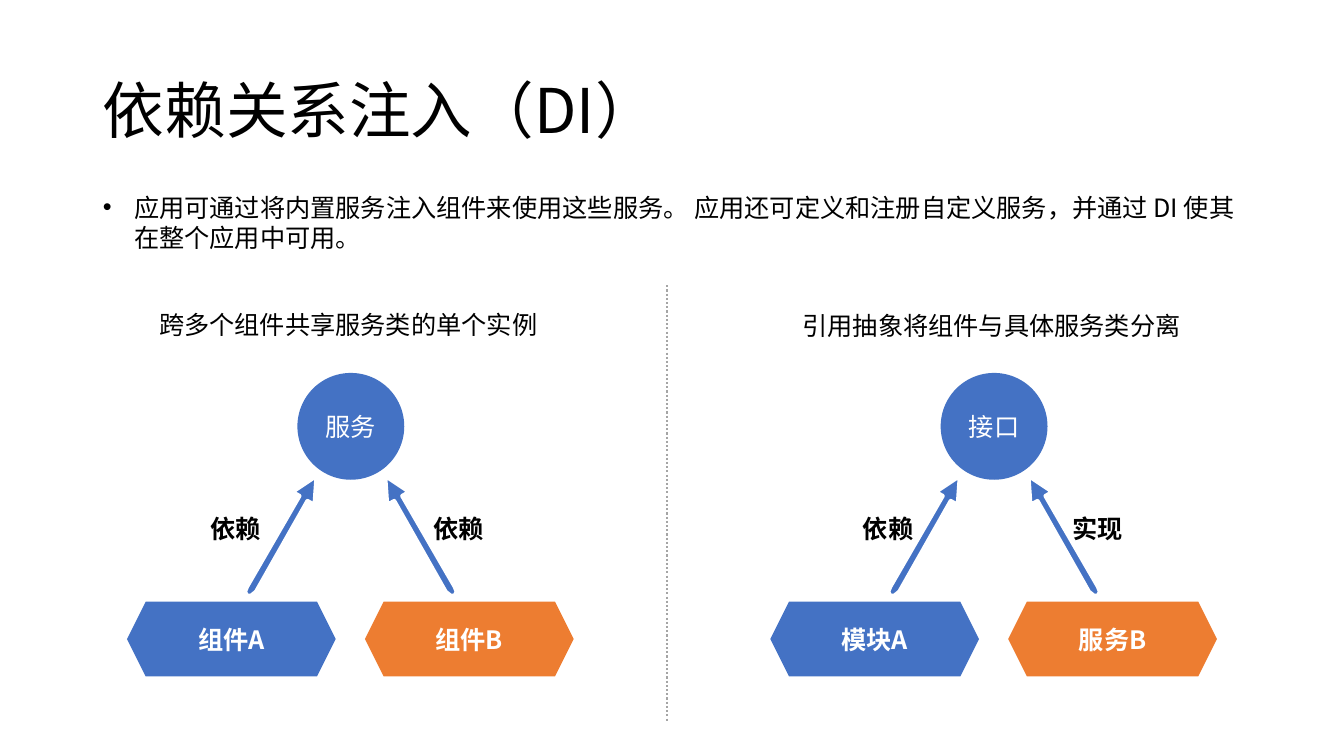
from lxml import etree
from pptx import Presentation
from pptx.dml.color import RGBColor
from pptx.enum.dml import MSO_LINE
from pptx.enum.shapes import MSO_CONNECTOR, MSO_SHAPE
from pptx.enum.text import MSO_ANCHOR, MSO_AUTO_SIZE, PP_ALIGN
from pptx.oxml.ns import qn
from pptx.util import Pt

PX = 9144  # 100 px to the inch
FONT = "Noto Sans CJK SC"
BLACK = RGBColor(0x00, 0x00, 0x00)
WHITE = RGBColor(0xFF, 0xFF, 0xFF)
BLUE = RGBColor(0x44, 0x72, 0xC4)
ORANGE = RGBColor(0xED, 0x7D, 0x31)
GREY = RGBColor(0xA5, 0xA5, 0xA5)
LEFT, CENTER = PP_ALIGN.LEFT, PP_ALIGN.CENTER
MIDDLE = MSO_ANCHOR.MIDDLE
NO_FIT = MSO_AUTO_SIZE.NONE
PILL, HEXAGON = MSO_SHAPE.ROUNDED_RECTANGLE, MSO_SHAPE.HEXAGON
STRAIGHT, DOTS = MSO_CONNECTOR.STRAIGHT, MSO_LINE.ROUND_DOT

# Arrow outline, as offsets from the axis of a diagram
ARROW = [(-103, 591), (-99, 591), (-94, 587), (-43, 497), (-36, 501),
         (-34, 472), (-58, 488), (-51, 492), (-103, 582), (-105, 587)]


class Deck:
    def __init__(self, slide, font):
        self.slide = slide
        self.shapes = slide.shapes
        self.font = font

    def put(self, shape, text, size=18, color=BLACK, bold=False, align=LEFT):
        """Fill a shape with one paragraph, centred in height."""
        frame = shape.text_frame
        frame.auto_size = NO_FIT
        frame.vertical_anchor = MIDDLE
        para = frame.paragraphs[0]
        para.alignment = align
        para.space_before = Pt(0)
        run = para.add_run()
        run.text = text
        run.font.size = Pt(size)
        run.font.bold = bold
        run.font.color.rgb = color
        run.font.name = self.font
        east = etree.SubElement(run._r.get_or_add_rPr(), qn("a:ea"))
        east.set("typeface", self.font)
        return para

    def place(self, shape, x, y, w, h):
        shape.left, shape.top = x * PX, y * PX
        shape.width, shape.height = w * PX, h * PX

    def title(self, text, *box):
        shape = self.shapes.title
        self.place(shape, *box)
        self.put(shape, text, 44).line_spacing = 0.9

    def body(self, text, *box):
        shape = self.slide.placeholders[1]
        self.place(shape, *box)
        para = self.put(shape, text)
        para.line_spacing = Pt(21.5)
        props = para._p.get_or_add_pPr()
        props.set("marL", str(31 * PX))
        props.set("indent", str(-31 * PX))

    def label(self, text, x, y, w, bold=False):
        box = self.shapes.add_textbox(x * PX, y * PX, w * PX, 40 * PX)
        box.text_frame.word_wrap = False
        self.put(box, text, bold=bold)

    def node(self, kind, text, x, y, w, h, color, bold=False):
        shape = self.shapes.add_shape(kind, x * PX, y * PX, w * PX, h * PX)
        shape.shadow.inherit = False
        shape.fill.solid()
        shape.fill.fore_color.rgb = color
        shape.line.fill.background()
        self.put(shape, text, color=WHITE, bold=bold, align=CENTER)
        return shape

    def arrow(self, axis, side):
        """Draw the arrow outline; side -1 mirrors it to the right."""
        points = [(axis + side * x, y) for x, y in ARROW]
        form = self.shapes.build_freeform(*points[0], scale=PX)
        form.add_line_segments(points[1:], close=True)
        shape = form.convert_to_shape()
        shape.shadow.inherit = False
        shape.fill.solid()
        shape.fill.fore_color.rgb = BLUE
        shape.line.color.rgb = WHITE
        shape.line.width = Pt(3)

    def rule(self, x, top, end):
        """Draw an upright dotted line."""
        line = self.shapes.add_connector(STRAIGHT, x * PX, top * PX, x * PX, end * PX)
        line.line.color.rgb = GREY
        line.line.width = Pt(1.5)
        line.line.dash_style = DOTS
        etree.SubElement(line._element.spPr, qn("a:effectLst"))

    def graph(self, axis, top, units, ties):
        """Draw two units with arrows up to a round node; ties are (text, x)."""
        self.node(PILL, top, axis - 53, 370, 106, 106, BLUE).adjustments[0] = 0.5
        for unit, x, color in zip(units, (axis - 222, axis + 14), (BLUE, ORANGE)):
            self.node(HEXAGON, unit, x, 597, 207, 74, color, True)
        for side in (1, -1):
            self.arrow(axis, side)
        for text, x in ties:
            self.label(text, x, 504, 71, True)


def main():
    prs = Presentation()
    prs.slide_width, prs.slide_height = 1333 * PX, 750 * PX
    deck = Deck(prs.slides.add_slide(prs.slide_layouts[1]), FONT)
    deck.title("依赖关系注入（DI）", 92, 40, 1150, 145)
    deck.body("应用可通过将内置服务注入组件来使用这些服务。 应用还可定义和注册自定义服务，"
              "并通过 DI 使其在整个应用中可用。", 92, 185, 1150, 71)
    deck.graph(348, "服务", ("组件A", "组件B"), (("依赖", 199), ("依赖", 420)))
    deck.graph(986, "接口", ("模块A", "服务B"), (("依赖", 846), ("实现", 1054)))
    deck.label("跨多个组件共享服务类的单个实例", 148, 302, 399)
    deck.label("引用抽象将组件与具体服务类分离", 786, 303, 399)
    deck.rule(662, 283, 715)
    prs.save("out.pptx")


if __name__ == "__main__":
    main()
